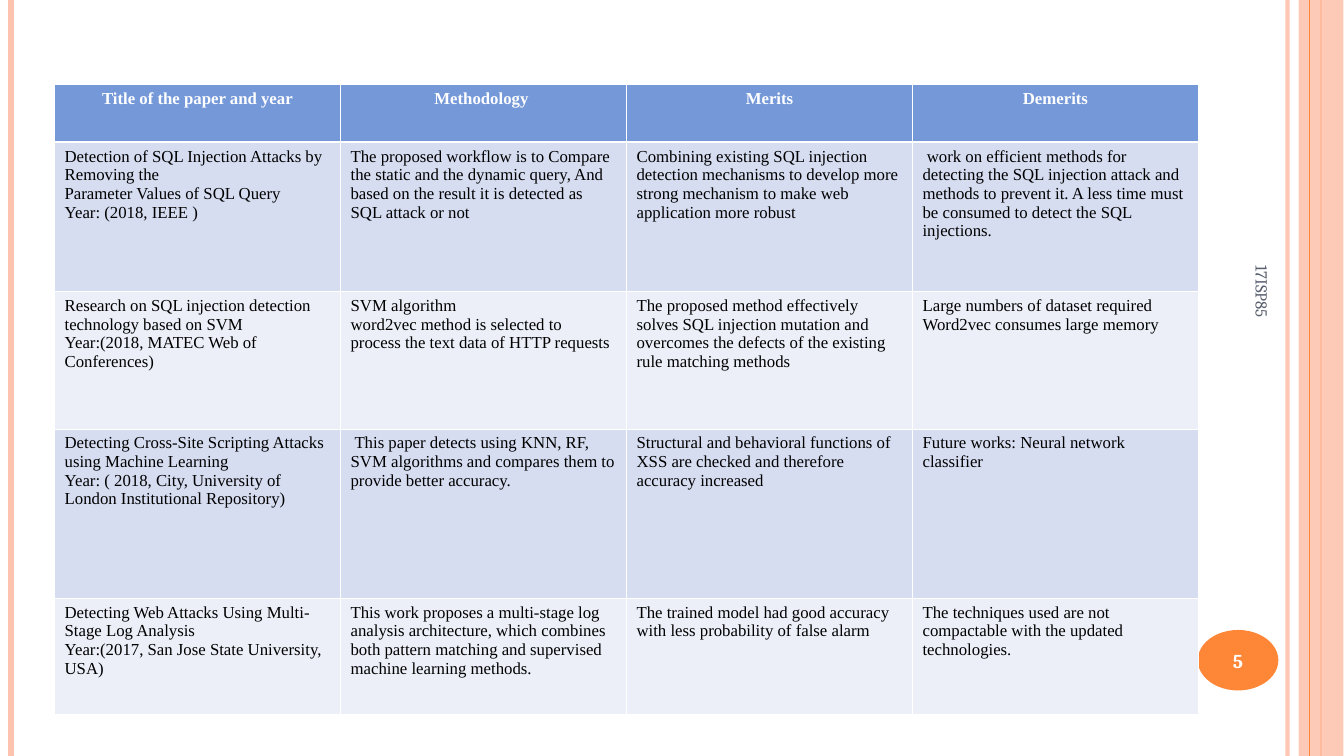
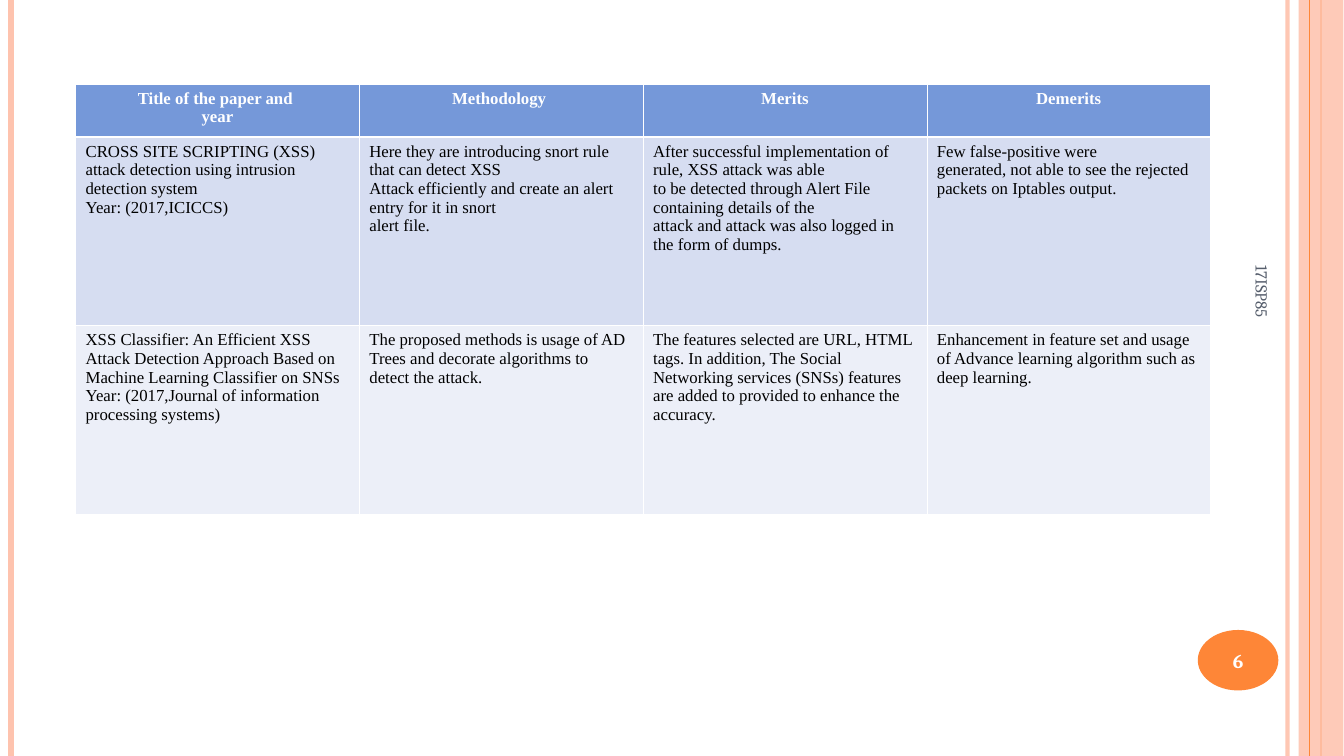
import lxml.etree
import pptx
import pptx.dml.color
import pptx.enum.shapes
import pptx.enum.text
import pptx.oxml.ns
import pptx.util

Pt = pptx.util.Pt
ALIGN = pptx.enum.text.PP_ALIGN
SHAPE = pptx.enum.shapes.MSO_SHAPE
qn = pptx.oxml.ns.qn

SLIDE_WIDTH, SLIDE_HEIGHT = 960.48, 540
PEACH, ORANGE, SLATE = "FEC3AE", "FE8637", "575F6D"
WHITE, BLACK = "FFFFFF", "000000"
HEADER_BLUE = "7598D9"
ROW_BLUES = ["ECEFF8", "D6DDF1"]

HEADER_FONT = {"name": "Times New Roman", "size": Pt(12), "bold": True}
BODY_FONT = {**HEADER_FONT, "bold": False}
FOOTER_FONT = {"name": "Cambria", "size": Pt(12), "bold": False}
NUMBER_FONT = {"name": "Cambria", "size": Pt(14), "bold": True}

# x, width, colour, opacity in percent; the last rule lies over the side band
RULES = [
    (920.2, 3, PEACH, 93),
    (8, 4.5, PEACH, 100),
    (944, 1.5, ORANGE, 100),
    (936, 0.75, ORANGE, 100),
]
TABLE_TOP = 60
THIN, THICK = 0.45, 1.47

SURVEYS = [
    {
        "number": "5",
        "left": 39,
        "column": 204.4,
        "heights": [41.5, 106.8, 98, 121, 82.8],
        "rows": [
            ["Title of the paper and year", "Methodology ", "Merits", "Demerits"],
            [
                "Detection of SQL Injection Attacks by Removing the\n"
                "Parameter Values of SQL Query\nYear: (2018, IEEE )",
                "The proposed workflow is to Compare the static and the dynamic query, "
                "And based on the result it is detected as SQL attack or not",
                "Combining existing SQL injection detection mechanisms to develop more "
                "strong mechanism to make web application more robust",
                " work on efficient methods for detecting the SQL injection attack and "
                "methods to prevent it. A less time must be consumed to detect the SQL "
                "injections.",
            ],
            [
                "Research on SQL injection detection technology based on SVM\n"
                "Year:(2018, MATEC Web of Conferences)",
                "SVM algorithm\n"
                "word2vec method is selected to process the text data of HTTP requests",
                "The proposed method effectively solves SQL injection mutation and "
                "overcomes the defects of the existing rule matching methods",
                "Large numbers of dataset required\nWord2vec consumes large memory",
            ],
            [
                "Detecting Cross-Site Scripting Attacks using Machine Learning\n"
                "Year: ( 2018, City, University of London Institutional Repository)",
                " This paper detects using KNN, RF, SVM algorithms and compares them to "
                "provide better accuracy.",
                "Structural and behavioral functions of XSS are checked and therefore "
                "accuracy increased",
                "Future works: Neural network classifier",
            ],
            [
                "Detecting Web Attacks Using Multi-Stage Log Analysis\n"
                "Year:(2017, San Jose State University, USA)",
                "This work proposes a multi-stage log analysis architecture, which "
                "combines both pattern matching and supervised machine learning methods.",
                "The trained model had good accuracy with less probability of false alarm",
                "The techniques used are not compactable with the updated technologies.",
            ],
        ],
    },
    {
        "number": "6",
        "left": 54,
        "column": 202.8,
        "heights": [38, 134.7, 134.7],
        "rows": [
            ["Title of the paper and \nyear", "Methodology ", "Merits", "Demerits"],
            [
                "CROSS SITE SCRIPTING (XSS) attack detection using intrusion detection "
                "system\nYear: (2017,ICICCS)",
                "Here they are introducing snort rule that can detect XSS\n"
                "Attack efficiently and create an alert entry for it in snort\n"
                "alert file.",
                "After successful implementation of rule, XSS attack was able\n"
                "to be detected through Alert File containing details of the\n"
                "attack and attack was also logged in the form of dumps.",
                "Few false-positive were\n"
                "generated, not able to see the rejected packets on Iptables output.",
            ],
            [
                "XSS Classifier: An Efficient XSS Attack Detection Approach Based on "
                "Machine Learning Classifier on SNSs\n"
                "Year: (2017,Journal of information processing systems)",
                "The proposed methods is usage of AD Trees and decorate algorithms to "
                "detect the attack.",
                "The features selected are URL, HTML tags. In addition, The Social "
                "Networking services (SNSs) features are added to provided to enhance "
                "the accuracy.",
                "Enhancement in feature set and usage of Advance learning algorithm "
                "such as deep learning.",
            ],
        ],
    },
]


def paint(fill, colour, opacity=100):
    """Make a fill solid, with opacity in percent."""
    fill.solid()
    fill.fore_color.rgb = pptx.dml.color.RGBColor.from_string(colour)
    if opacity < 100:
        # python-pptx has no public setting for transparency
        tint = fill._xPr.find(qn("a:solidFill"))[0]
        lxml.etree.SubElement(tint, qn("a:alpha"), val=str(opacity * 1000))


def write(frame, text, font, colour, align):
    """Fill a text frame, one paragraph for each line of text."""
    frame.text = text
    for paragraph in frame.paragraphs:
        paragraph.alignment = align
        for name, value in font.items():
            setattr(paragraph.font, name, value)
        paint(paragraph.font.fill, colour)


deck = pptx.Presentation()
deck.slide_width, deck.slide_height = Pt(SLIDE_WIDTH), Pt(SLIDE_HEIGHT)

for survey in SURVEYS:
    slide = deck.slides.add_slide(deck.slide_layouts[6])
    shapes = slide.shapes

    # Side rules and band
    for x, width, colour, opacity in RULES:
        rule = shapes.add_connector(
            pptx.enum.shapes.MSO_CONNECTOR.STRAIGHT, Pt(x), 0, Pt(x), Pt(SLIDE_HEIGHT)
        )
        rule.line.width = Pt(width)
        paint(rule.line.fill, colour, opacity)
        lxml.etree.SubElement(rule.element.spPr, qn("a:effectLst"))
    band = shapes.add_shape(SHAPE.RECTANGLE, Pt(928), 0, Pt(32), Pt(SLIDE_HEIGHT))
    paint(band.fill, PEACH, 87)
    shapes.element.append(rule.element)

    # Slide number and course code
    badge = shapes.add_shape(SHAPE.OVAL, Pt(856), Pt(450), Pt(57.6), Pt(43.2))
    paint(badge.fill, ORANGE)
    write(badge.text_frame, survey["number"], NUMBER_FONT, WHITE, ALIGN.CENTER)
    for plain in (band, badge):
        plain.shadow.inherit = False
        plain.line.fill.background()

    course = shapes.add_textbox(Pt(776.2), Pt(289.5), Pt(252), Pt(38))
    course.rotation = 90
    course.text_frame.word_wrap = True
    course.text_frame.vertical_anchor = pptx.enum.text.MSO_ANCHOR.MIDDLE
    write(course.text_frame, "17ISP85", FOOTER_FONT, SLATE, ALIGN.LEFT)

    # Literature table
    rows, heights = survey["rows"], survey["heights"]
    columns = len(rows[0])
    table = shapes.add_table(
        len(rows), columns, Pt(survey["left"]), Pt(TABLE_TOP),
        Pt(survey["column"] * columns), Pt(sum(heights)),
    ).table
    table.horz_banding = False
    for column in table.columns:
        column.width = Pt(survey["column"])

    for r, entries in enumerate(rows):
        table.rows[r].height = Pt(heights[r])
        header = r == 0
        borders = {
            "a:lnL": THIN,
            "a:lnR": THIN,
            "a:lnT": THICK if r == 1 else THIN,
            "a:lnB": THICK if header else THIN,
        }
        for c, entry in enumerate(entries):
            cell = table.cell(r, c)
            properties = cell._tc.get_or_add_tcPr()
            for side, width in borders.items():
                border = lxml.etree.SubElement(properties, qn(side), w=str(Pt(width)))
                solid = lxml.etree.SubElement(border, qn("a:solidFill"))
                lxml.etree.SubElement(solid, qn("a:srgbClr"), val=WHITE)
            paint(cell.fill, HEADER_BLUE if header else ROW_BLUES[r % 2])
            if header:
                write(cell.text_frame, entry, HEADER_FONT, WHITE, ALIGN.CENTER)
            else:
                write(cell.text_frame, entry, BODY_FONT, BLACK, ALIGN.LEFT)

deck.save("out.pptx")
